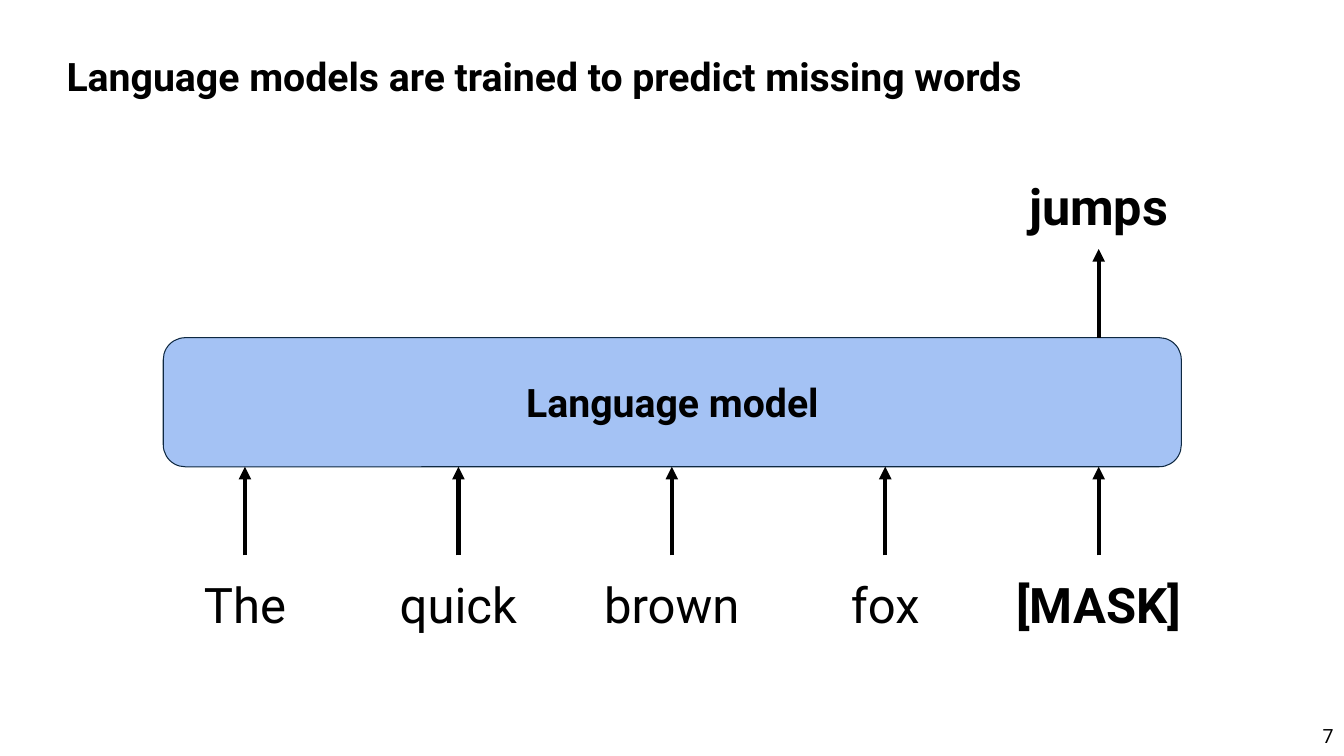
"""Build a slide showing a language model that predicts a masked word."""
from dataclasses import dataclass

from lxml import etree
from pptx import Presentation
from pptx.dml.color import RGBColor
from pptx.enum.shapes import MSO_CONNECTOR, MSO_SHAPE
from pptx.enum.text import MSO_ANCHOR, MSO_AUTO_SIZE, PP_ALIGN
from pptx.oxml.ns import qn
from pptx.util import Pt

STRAIGHT = MSO_CONNECTOR.STRAIGHT
ROUNDED = MSO_SHAPE.ROUNDED_RECTANGLE
MIDDLE, TOP = MSO_ANCHOR.MIDDLE, MSO_ANCHOR.TOP
LEFT, CENTER, RIGHT = PP_ALIGN.LEFT, PP_ALIGN.CENTER, PP_ALIGN.RIGHT
NO_FIT = MSO_AUTO_SIZE.NONE

FONT = "Roboto"
BLACK, BLUE, NAVY = "000000", "A4C2F4", "0E2841"
MODEL_LEFT, MODEL_TOP, MODEL_WIDTH, MODEL_HEIGHT = 116.64, 241.2, 727.2, 92.2
MODEL_BOTTOM = MODEL_TOP + MODEL_HEIGHT
FIRST_X, STEP = 175, 152.45
ARROW_LENGTH = 63.3
WORD_WIDTH, WORD_HEIGHT = 166, 56.9
INPUT_TOP, OUTPUT_TOP = 406.8, 121.7


@dataclass
class Word:
    """A word above or below the model, with the arrow beside it."""
    text: str
    column: int
    top: float
    arrow_start: float
    size: float = 35
    bold: bool = False


WORDS = [
    Word(text, i, INPUT_TOP, MODEL_BOTTOM + ARROW_LENGTH, bold=text == "[MASK]")
    for i, text in enumerate(["The", "quick", "brown", "fox", "[MASK]"])
] + [Word("jumps", 4, OUTPUT_TOP, MODEL_TOP, 36, True)]


def color(hex_code: str) -> RGBColor:
    return RGBColor.from_string(hex_code)


def place(sp, left: float, top: float, width: float, height: float) -> None:
    sp.left, sp.top, sp.width, sp.height = Pt(left), Pt(top), Pt(width), Pt(height)


def write(sp, text: str, size: float, bold: bool, align=CENTER, anchor=MIDDLE) -> None:
    tf = sp.text_frame
    tf.text = text
    tf.word_wrap = True
    tf.auto_size = NO_FIT
    tf.vertical_anchor = anchor
    tf.margin_left = tf.margin_right = Pt(7.2)
    tf.margin_top = tf.margin_bottom = Pt(3.6)
    p = tf.paragraphs[0]
    p.alignment = align
    font = p.runs[0].font
    font.name, font.size, font.bold = FONT, Pt(size), bold
    font.color.rgb = color(BLACK)


def add_arrow(s, x: float, start: float) -> None:
    line = s.shapes.add_connector(STRAIGHT, Pt(x), Pt(start), Pt(x), Pt(start - ARROW_LENGTH))
    line.line.color.rgb = color(BLACK)
    line.line.width = Pt(3)
    etree.SubElement(line.line._get_or_add_ln(), qn("a:tailEnd"), type="triangle")
    etree.SubElement(line._element.spPr, qn("a:effectLst"))


def add_word(s, word: Word) -> None:
    x = FIRST_X + STEP * word.column
    add_arrow(s, x, word.arrow_start)
    sp = s.shapes.add_textbox(Pt(x - WORD_WIDTH / 2), Pt(word.top), Pt(WORD_WIDTH), Pt(WORD_HEIGHT))
    write(sp, word.text, word.size, word.bold, anchor=TOP)


def add_model(s) -> None:
    sp = s.shapes.add_shape(ROUNDED, Pt(MODEL_LEFT), Pt(MODEL_TOP), Pt(MODEL_WIDTH), Pt(MODEL_HEIGHT))
    sp.shadow.inherit = False
    sp.adjustments[0] = 0.17
    sp.fill.solid()
    sp.fill.fore_color.rgb = color(BLUE)
    sp.line.color.rgb = color(NAVY)
    sp.line.width = Pt(0.75)
    write(sp, "Language model", 28, True)


def main() -> None:
    prs = Presentation()
    prs.slide_width, prs.slide_height = Pt(960), Pt(540)
    s = prs.slides.add_slide(prs.slide_layouts[5])
    title = s.shapes.title
    place(title, 40.3, 25.9, 879.1, 56.9)
    write(title, "Language models are trained to predict missing words", 28, True, LEFT)
    number = s.shapes.add_textbox(Pt(890.6), Pt(511.2), Pt(69.1), Pt(28.8))
    write(number, "7", 14, False, RIGHT)
    add_model(s)
    for word in WORDS:
        add_word(s, word)
    prs.save("out.pptx")


if __name__ == "__main__":
    main()
